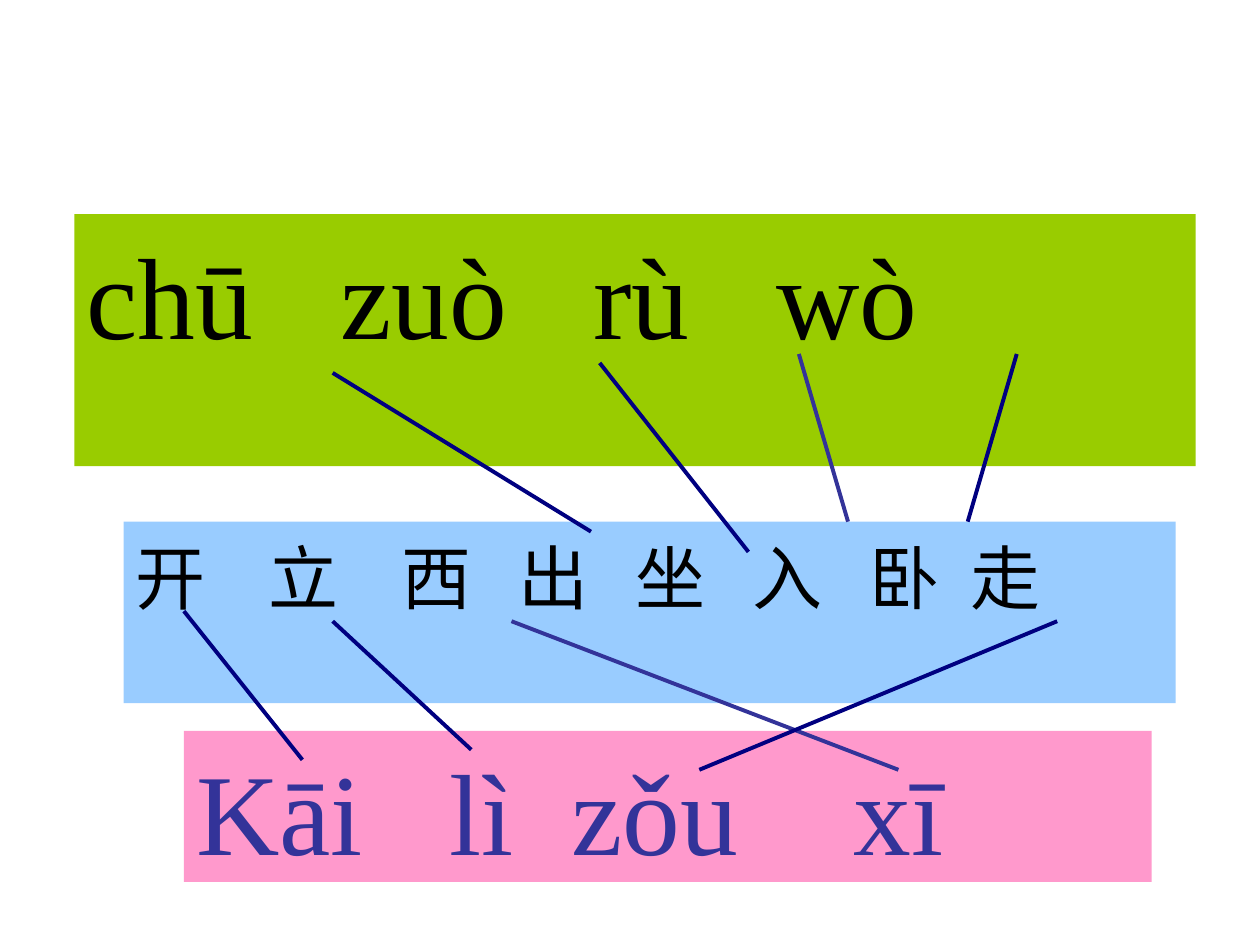
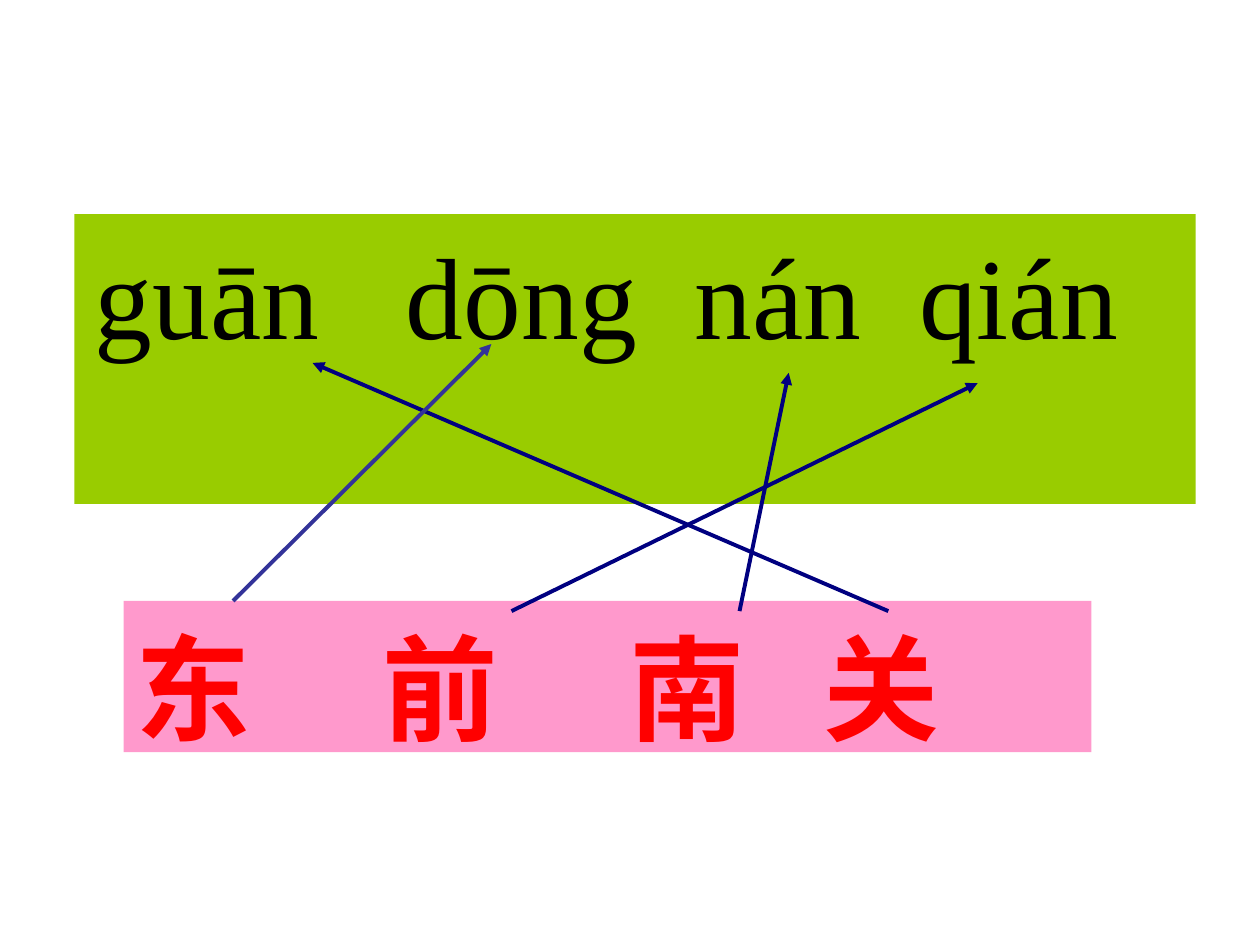
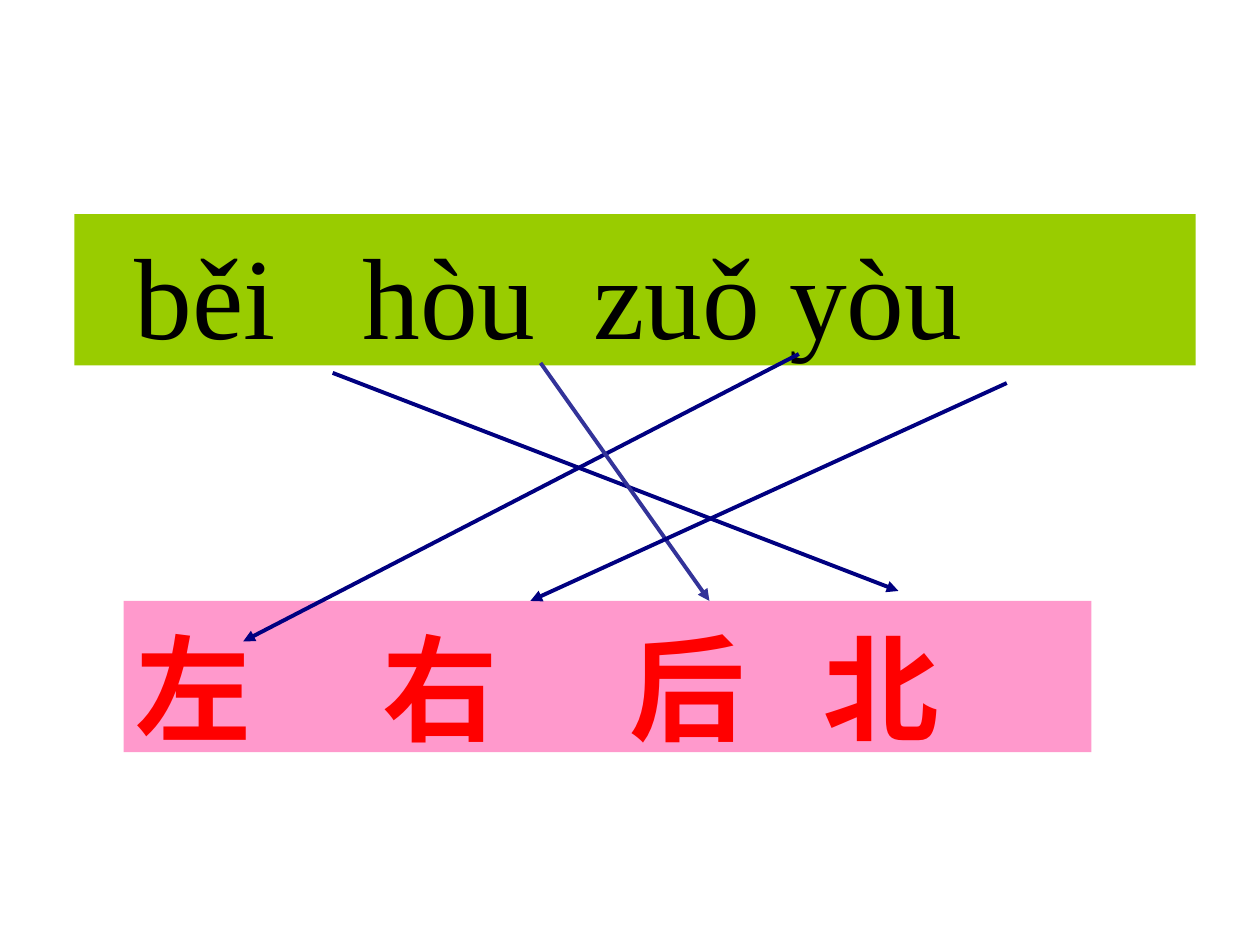
from dataclasses import dataclass

from lxml.etree import SubElement
from pptx import Presentation
from pptx.dml.color import RGBColor as Rgb
from pptx.enum.shapes import MSO_CONNECTOR as Connector, MSO_SHAPE as Preset
from pptx.enum.text import MSO_ANCHOR as Anchor, PP_ALIGN as Align
from pptx.oxml.ns import qn
from pptx.util import Pt


@dataclass(frozen=True)
class Theme:
    """Colours, fonts and sizes shared by the slides."""
    green: str = "99CC00"
    blue: str = "99CCFF"
    pink: str = "FF99CC"
    black: str = "000000"
    red: str = "FF0000"
    navy: str = "000080"
    indigo: str = "333399"
    pinyin_font: str = "Times New Roman"
    hanzi_font: str = "Arial"
    large: float = 66
    small: float = 40
    pinyin_leading: float = 1.23
    hanzi_leading: float = 1.29
    line: float = 2.25
    inset: float = 7.2


@dataclass(frozen=True)
class Style:
    """Look of the words in a band."""
    fill: str
    colour: str
    font: str
    size: float
    leading: float
    bold: bool = False


THEME = Theme()
PINYIN = Style(THEME.green, THEME.black, THEME.pinyin_font, THEME.large, THEME.pinyin_leading)
PINYIN_ANSWERS = Style(THEME.pink, THEME.indigo, THEME.pinyin_font, THEME.large, THEME.pinyin_leading)
HANZI = Style(THEME.blue, THEME.black, THEME.hanzi_font, THEME.small, THEME.hanzi_leading)
HANZI_ANSWERS = Style(THEME.pink, THEME.red, THEME.pinyin_font, THEME.large, THEME.hanzi_leading, True)

ANSWER_BOX = (70.6, 343.4, 553, 86.4)
ANSWER_STOPS = (141, 282, 393)


def pinyin_box(height):
    """Return the box of the upper band with the given height."""
    return 42.5, 122.4, 640.8, height


def add_band(slide, box, words, stops, style, indent=0):
    """Draw a coloured band whose words sit on tab stops."""
    band = slide.shapes.add_shape(Preset.RECTANGLE, *map(Pt, box))
    band.shadow.inherit = False
    band.fill.solid()
    band.fill.fore_color.rgb = Rgb.from_string(style.fill)
    band.line.fill.background()
    frame = band.text_frame
    frame.word_wrap = True
    frame.vertical_anchor = Anchor.TOP
    frame.margin_left = Pt(THEME.inset + indent)
    frame.margin_right = Pt(THEME.inset)
    frame.margin_top = frame.margin_bottom = Pt(3.6)
    row = frame.paragraphs[0]
    row.text = "\t".join(words)
    row.alignment = Align.LEFT
    row.line_spacing = Pt(round(style.size * style.leading))
    tabs = SubElement(row._p.get_or_add_pPr(), qn("a:tabLst"))
    for stop in stops:
        SubElement(tabs, qn("a:tab"), pos=str(Pt(stop)), algn="l")
    row.font.name = style.font
    row.font.size = Pt(style.size)
    row.font.bold = style.bold
    row.font.color.rgb = Rgb.from_string(style.colour)


def add_matches(slide, matches, arrow=False):
    """Join matching words, each match being a colour and two end points."""
    for colour, *ends in matches:
        match = slide.shapes.add_connector(Connector.STRAIGHT, *map(Pt, ends))
        match.line.width = Pt(THEME.line)
        match.line.color.rgb = Rgb.from_string(colour)
        if arrow:
            SubElement(match.line._get_or_add_ln(), qn("a:tailEnd"), type="triangle")
        SubElement(match._element.spPr, qn("a:effectLst"))


def build_verbs(slide):
    """Match verbs with the pinyin above and below them."""
    add_band(slide, pinyin_box(144), ("chū", "zuò", "rù", "wò"),
             (144.8, 289.6, 394.1), PINYIN)
    add_band(slide, (70.6, 298.1, 601.2, 103.7),
             ("开", "立", "西", "出", "坐", "入", "卧", "走"),
             (75.8, 151.6, 218.5, 285.4, 352.3, 419.2, 477.1), HANZI)
    add_band(slide, (105.1, 417.6, 553, 86.4), ("Kāi", "lì", "zǒu", "xī"),
             (144.8, 214.5, 375.8), PINYIN_ANSWERS)
    add_matches(slide, (
        (THEME.navy, 190.1, 213.1, 337.7, 303.8),
        (THEME.indigo, 456.5, 202.3, 484.6, 298.1),
        (THEME.navy, 581, 202.3, 553, 298.1),
        (THEME.navy, 342.7, 207.4, 427.7, 315.4),
        (THEME.navy, 105.1, 349.2, 172.8, 434.2),
        (THEME.navy, 190.1, 355, 269.3, 428.4),
        (THEME.indigo, 292.3, 355, 513.4, 439.9),
        (THEME.navy, 604.1, 355, 399.6, 439.9),
    ))


def build_directions(slide):
    """Point from four characters to their pinyin."""
    add_band(slide, pinyin_box(165.6), ("guān", "dōng", "nán", "qián"),
             (177.8, 342.8, 471.1), PINYIN, indent=4.5)
    add_band(slide, ANSWER_BOX, ("东", "前", "南", "关"), ANSWER_STOPS, HANZI_ANSWERS)
    add_matches(slide, (
        (THEME.navy, 507.6, 349.2, 178.6, 207.4),
        (THEME.navy, 422.6, 349.2, 450.7, 213.1),
        (THEME.indigo, 133.2, 343.4, 280.8, 196.6),
        (THEME.navy, 292.3, 349.2, 558.7, 218.9),
    ), arrow=True)


def build_positions(slide):
    """Point from four pinyin words to their characters."""
    add_band(slide, pinyin_box(86.4), ("běi", "hòu", "zuǒ", "yòu"),
             (130.2, 262.2, 374), PINYIN, indent=27.2)
    add_band(slide, ANSWER_BOX, ("左", "右", "后", "北"), ANSWER_STOPS, HANZI_ANSWERS)
    add_matches(slide, (
        (THEME.navy, 190.1, 213.1, 513.4, 337.7),
        (THEME.navy, 456.5, 202.3, 139, 366.5),
        (THEME.indigo, 308.9, 207.4, 405.4, 343.4),
        (THEME.navy, 575.3, 218.9, 303.1, 343.4),
    ), arrow=True)


def main():
    """Build the three matching exercises and save them."""
    deck = Presentation()
    deck.slide_width, deck.slide_height = Pt(720), Pt(540)
    blank = deck.slide_layouts[6]
    for build in (build_verbs, build_directions, build_positions):
        build(deck.slides.add_slide(blank))
    deck.save("out.pptx")


if __name__ == "__main__":
    main()
